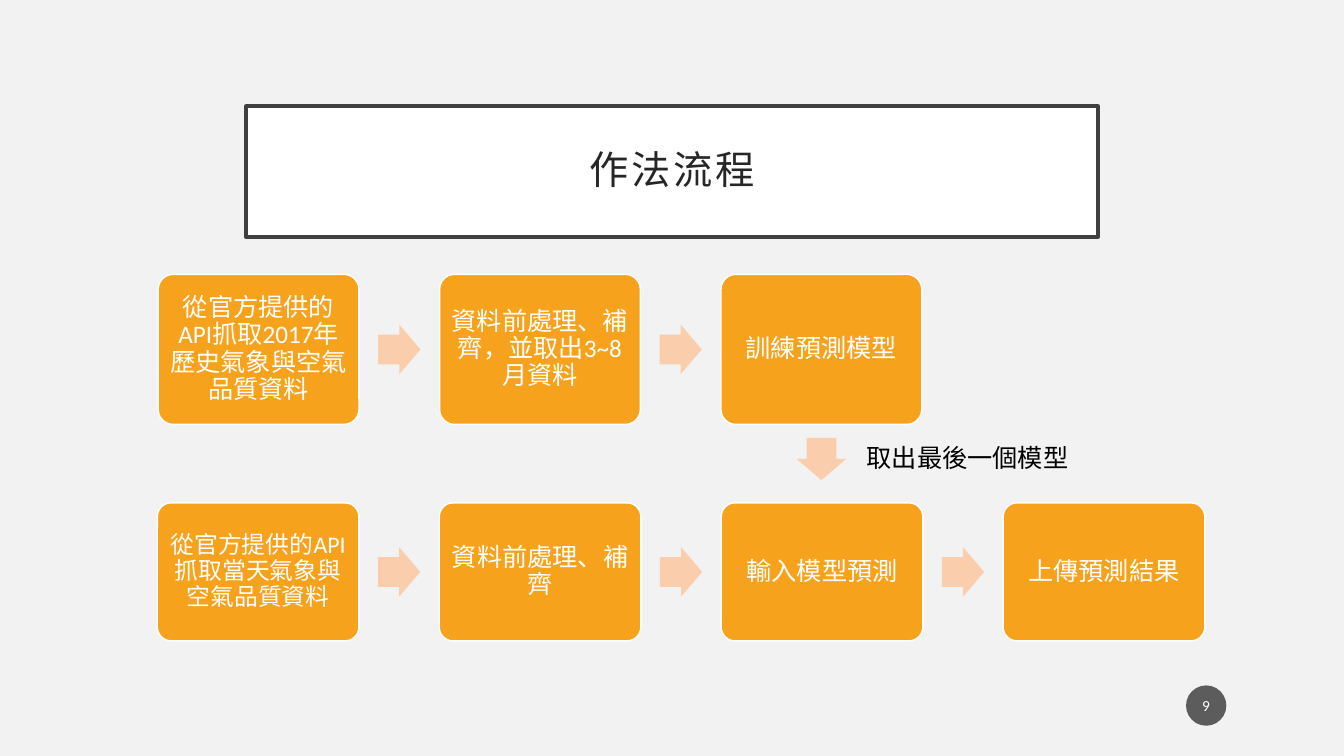
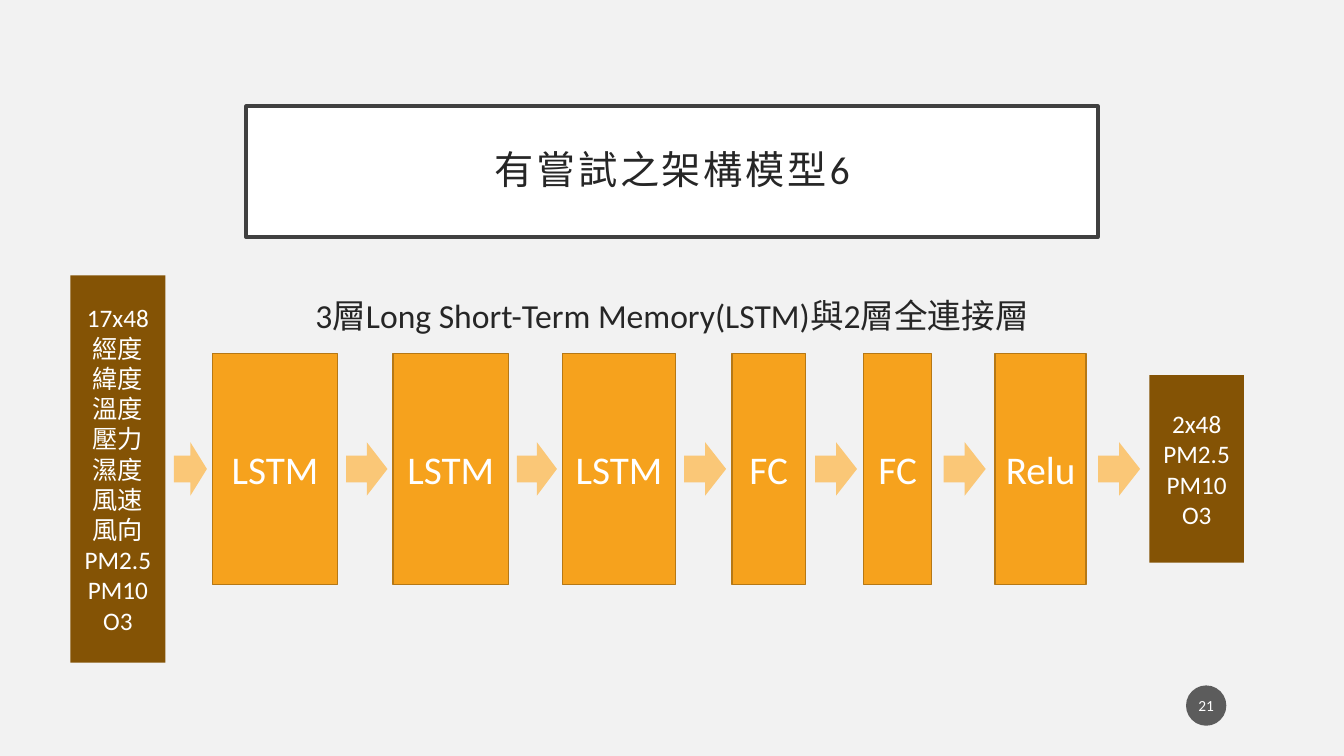
"""Build two slides: the forecasting workflow and an LSTM model architecture."""
from itertools import pairwise

from lxml.etree import SubElement
from pptx import Presentation
from pptx.dml.color import RGBColor
from pptx.enum.shapes import MSO_SHAPE
from pptx.enum.text import MSO_ANCHOR, PP_ALIGN
from pptx.oxml.ns import qn
from pptx.util import Pt

FONT = "Calibri"
COLORS = {
    "background": "F2F2F2", "white": "FFFFFF", "black": "000000", "ink": "262626",
    "frame": "404040", "badge": "1D1D1D", "orange": "F6A21D", "orange_edge": "B67815",
    "brown": "845305", "peach": "FACEAC", "light_orange": "FAC777",
}

WORKFLOW_TITLE = "作法流程"
TRAINING = {
    "left": 113, "top": 196, "pitch": 201, "width": 143.4, "height": 107.2,
    "steps": [("從官方提供的API抓取2017年歷史氣象與空氣品質資料", 18),
              ("資料前處理、補齊，並取出3~8月資料", 18),
              ("訓練預測模型", 18)],
}
PREDICTION = {
    "left": 112.4, "top": 359.2, "pitch": 201.4, "width": 144, "height": 98.6,
    "steps": [("從官方提供的API抓取當天氣象與空氣品質資料", 17),
              ("資料前處理、補齊", 18),
              ("輸入模型預測", 18),
              ("上傳預測結果", 18)],
}
HANDOVER = "取出最後一個模型"
STEP_ARROW = (30.2, 35.4)

MODEL_TITLE = "有嘗試之架構模型6"
MODEL_SUMMARY = "3層Long Short-Term Memory(LSTM)與2層全連接層"
INPUTS = ["17x48", "經度", "緯度", "溫度", "壓力", "濕度", "風速", "風向",
          "PM2.5", "PM10", "O3"]
OUTPUTS = ["2x48", "PM2.5", "PM10", "O3"]
DATA = {"fill": "brown", "line": None, "size": 18}
LAYER = {"fill": "orange", "line": "orange_edge", "size": 28}
MODEL_MIDDLE = 335
MODEL_BLOCKS = [
    (50.2, 68, 276.6, INPUTS, DATA),
    (151.8, 89.4, 165, ["LSTM"], LAYER),
    (280.8, 82.4, 165, ["LSTM"], LAYER),
    (401.8, 80.8, 165, ["LSTM"], LAYER),
    (522.8, 52.6, 165, ["FC"], LAYER),
    (617, 48.4, 165, ["FC"], LAYER),
    (710.8, 65, 165, ["Relu"], LAYER),
    (821, 67.6, 134, OUTPUTS, DATA),
]


def color(name):
    return RGBColor.from_string(COLORS[name])


def add_box(page, preset, left, top, width, height, fill, line=None, line_width=1):
    box = page.shapes.add_shape(preset, Pt(left), Pt(top), Pt(width), Pt(height))
    box.shadow.inherit = False
    box.fill.solid()
    box.fill.fore_color.rgb = color(fill)
    if line:
        box.line.color.rgb = color(line)
        box.line.width = Pt(line_width)
    else:
        box.line.fill.background()
    return box


def write(box, lines, size, ink="white", align=PP_ALIGN.CENTER, anchor=MSO_ANCHOR.MIDDLE,
          margins=(3.6, 3.6), spacing=1.0, tracking=0, wrap=True):
    frame = box.text_frame
    frame.word_wrap = wrap
    frame.vertical_anchor = anchor
    frame.margin_left = frame.margin_right = Pt(margins[0])
    frame.margin_top = frame.margin_bottom = Pt(margins[1])
    for index, line in enumerate(lines):
        para = frame.add_paragraph() if index else frame.paragraphs[0]
        para.alignment = align
        para.line_spacing = spacing
        span = para.add_run()
        span.text = line
        span.font.name = FONT
        span.font.size = Pt(size)
        span.font.color.rgb = color(ink)
        if tracking:
            span.font._element.set("spc", str(tracking * 100))


def add_text(page, left, top, width, height, text, size, ink, **style):
    box = page.shapes.add_textbox(Pt(left), Pt(top), Pt(width), Pt(height))
    write(box, [text], size, ink, anchor=MSO_ANCHOR.TOP, margins=(7.2, 3.6), **style)
    return box


def add_arrow(page, center, middle, width, height, fill, shaft=0.5):
    arrow = add_box(page, MSO_SHAPE.RIGHT_ARROW, center - width / 2, middle - height / 2,
                    width, height, fill)
    arrow.adjustments[0] = shaft
    return arrow


def add_page(deck, title, number):
    page = deck.slides.add_slide(deck.slide_layouts[6])
    heading = add_box(page, MSO_SHAPE.RECTANGLE, 175.8, 75.8, 608.4, 93.6,
                      "white", "frame", 2.5)
    write(heading, [title], 28, "ink", margins=(14.4, 14.4), spacing=0.9, tracking=2)
    badge = add_box(page, MSO_SHAPE.OVAL, 847.2, 489.6, 28.8, 28.8, "badge")
    tint = badge.element.spPr.find(qn("a:solidFill")).find(qn("a:srgbClr"))
    SubElement(tint, qn("a:alpha")).set("val", "70000")
    write(badge, [str(number)], 11, margins=(1.4, 3.6))
    return page


def add_step_row(page, row):
    middle = row["top"] + row["height"] / 2
    for index, (text, size) in enumerate(row["steps"]):
        left = row["left"] + index * row["pitch"]
        if index:
            gap_center = left - (row["pitch"] - row["width"]) / 2
            add_arrow(page, gap_center, middle, *STEP_ARROW, "peach", 0.6)
        step = add_box(page, MSO_SHAPE.ROUNDED_RECTANGLE, left, row["top"],
                       row["width"], row["height"], "orange", "white")
        step.adjustments[0] = 0.1
        write(step, [text], size, margins=(4.8, 4.8), spacing=0.9)


def build_workflow(deck):
    page = add_page(deck, WORKFLOW_TITLE, 9)
    for row in (TRAINING, PREDICTION):
        add_step_row(page, row)
    center = TRAINING["left"] + 2 * TRAINING["pitch"] + TRAINING["width"] / 2
    add_arrow(page, center, 327.8, *STEP_ARROW, "peach", 0.6).rotation = 90
    add_text(page, 612, 312.4, 160, 29, HANDOVER, 18, "black",
             align=PP_ALIGN.LEFT, wrap=False)


def build_model(deck):
    page = add_page(deck, MODEL_TITLE, 21)
    summary = add_text(page, 175.8, 207.4, 608.4, 244, MODEL_SUMMARY, 24, "ink")
    summary.text_frame.paragraphs[0].space_before = Pt(10)
    for left, width, height, lines, style in MODEL_BLOCKS:
        block = add_box(page, MSO_SHAPE.RECTANGLE, left, MODEL_MIDDLE - height / 2,
                        width, height, style["fill"], style["line"])
        write(block, lines, style["size"])
    for before, after in pairwise(MODEL_BLOCKS):
        start, end = before[0] + before[1], after[0]
        add_arrow(page, (start + end) / 2 + 1, MODEL_MIDDLE,
                  min(30, end - start - 10), 38.2, "light_orange")


def main():
    deck = Presentation()
    deck.slide_width, deck.slide_height = Pt(960), Pt(540)
    backdrop = deck.slide_master.background.fill
    backdrop.solid()
    backdrop.fore_color.rgb = color("background")
    build_workflow(deck)
    build_model(deck)
    deck.save("out.pptx")


if __name__ == "__main__":
    main()
